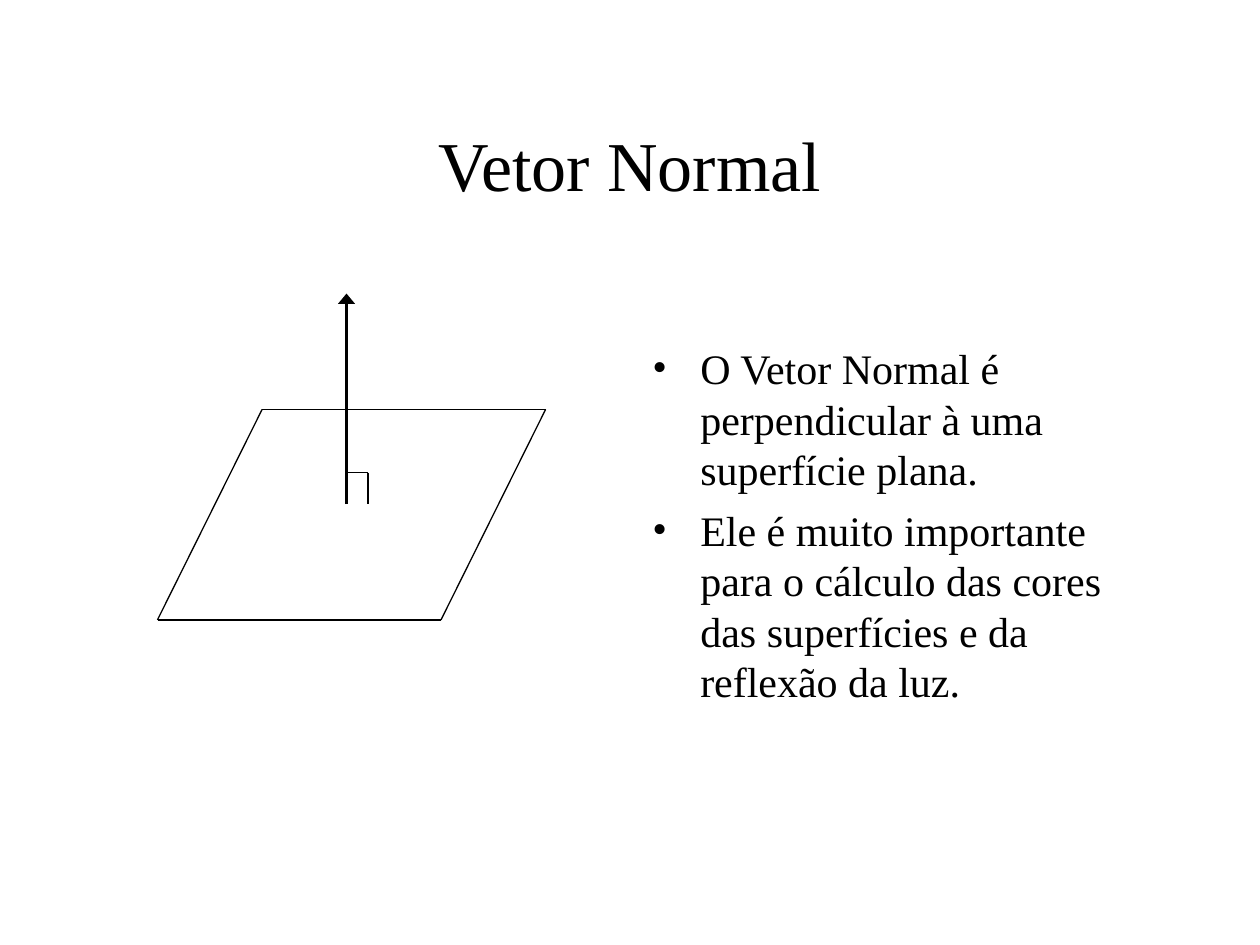
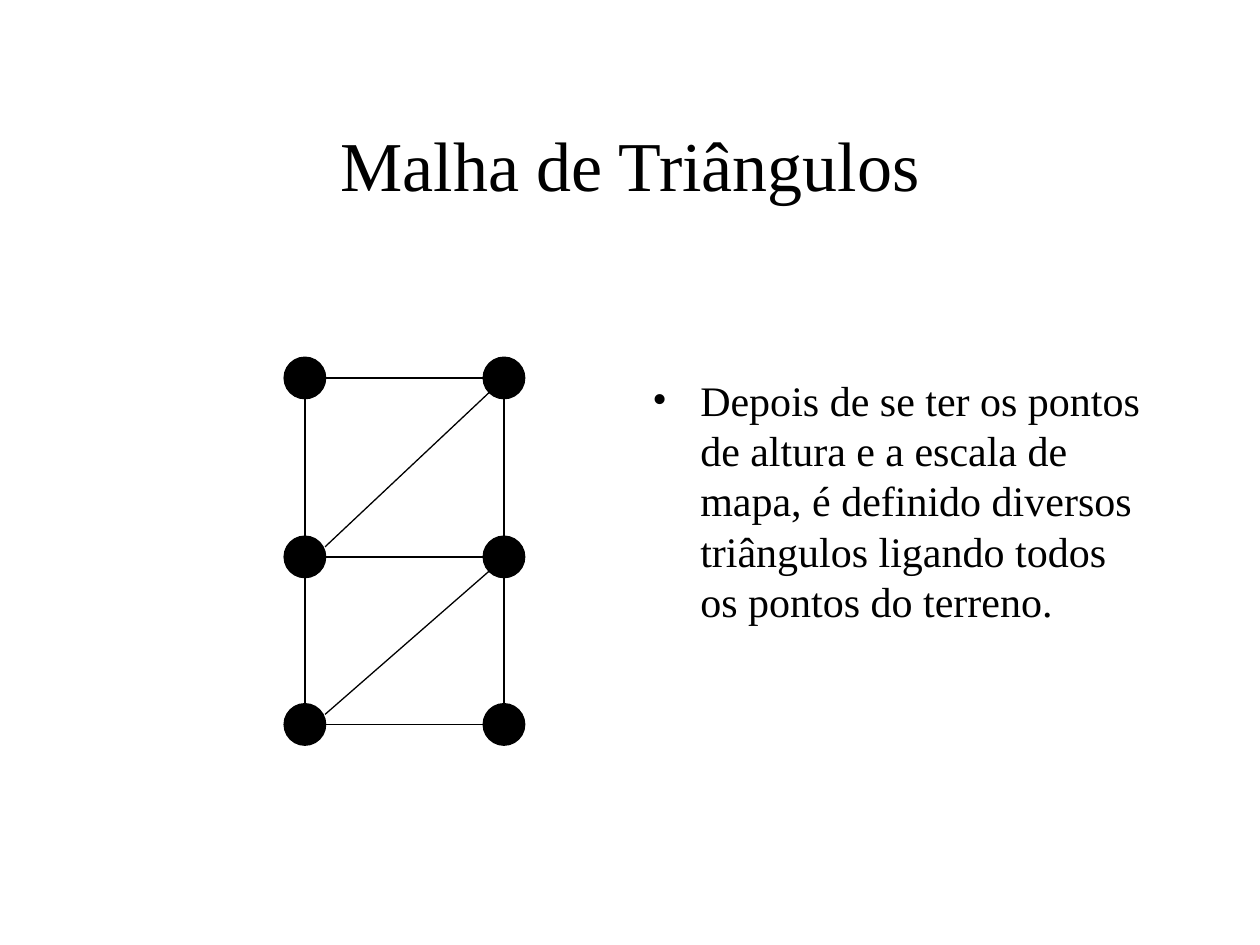
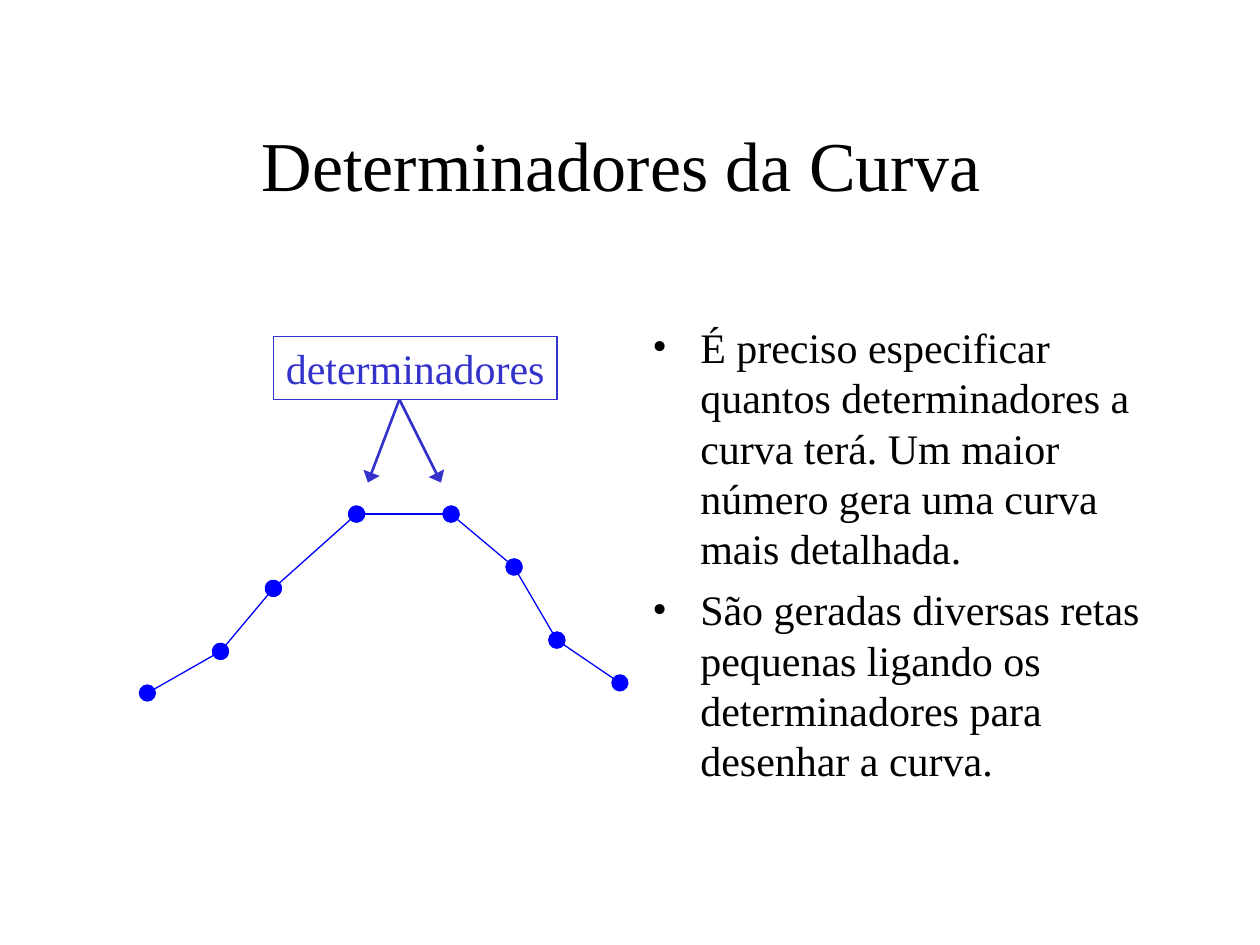
from itertools import pairwise

from lxml import etree
from pptx import Presentation
from pptx.dml.color import RGBColor
from pptx.enum import shapes, text
from pptx.oxml.ns import qn
from pptx.util import Inches, Pt

COLORS = {"ink": "000000", "curve": "0000FF", "callout": "3333CC"}
FONT = "Times New Roman"
TITLE_SIZE, BODY_SIZE = 40, 24
THIN, THICK = 0.75, 1.5
# end kind, width and length of line ends
ARROW = {"type": "triangle", "w": "lg", "len": "med"}
DOT = {"type": "oval", "w": "lg", "len": "lg"}


def rgb(color):
    return RGBColor.from_string(COLORS[color])


def add_text(slide, box, paragraphs, size, color="ink", **frame_format):
    """Add a text box and return it; frame_format holds text frame attributes."""
    text_box = slide.shapes.add_textbox(*map(Inches, box))
    frame = text_box.text_frame
    for name, value in ({"word_wrap": True} | frame_format).items():
        setattr(frame, name, value)
    for number, content in enumerate(paragraphs):
        paragraph = frame.add_paragraph() if number else frame.paragraphs[0]
        run = paragraph.add_run()
        run.text = content
        for name, value in {"name": FONT, "size": Pt(size)}.items():
            setattr(run.font, name, value)
        run.font.color.rgb = rgb(color)
    return text_box


def add_title(slide, title):
    heading = add_text(slide, (0.75, 0.67, 8.5, 1.25), [title], TITLE_SIZE,
                       vertical_anchor=text.MSO_ANCHOR.MIDDLE)
    heading.text_frame.paragraphs[0].alignment = text.PP_ALIGN.CENTER


def add_bullets(slide, top, height, items):
    body = add_text(slide, (5.08, top, 4.17, height), items, BODY_SIZE)
    for number, paragraph in enumerate(body.text_frame.paragraphs):
        properties = paragraph._p.get_or_add_pPr()
        properties.set("marL", str(Inches(0.38)))
        properties.set("indent", str(Inches(-0.38)))
        bullet_color = etree.SubElement(properties, qn("a:buClr"))
        etree.SubElement(bullet_color, qn("a:srgbClr"), val=COLORS["ink"])
        etree.SubElement(properties, qn("a:buFont"), typeface=FONT)
        etree.SubElement(properties, qn("a:buChar"), char="•")
        if number:
            paragraph.space_before = Pt(6)


def add_line(slide, start, end, color="ink", width=THIN, head=None, tail=None):
    """Draw a straight line; head is the mark at start, tail the one at end."""
    line = slide.shapes.add_connector(
        shapes.MSO_CONNECTOR.STRAIGHT, *map(Inches, (*start, *end)))
    line.line.color.rgb = rgb(color)
    line.line.width = Pt(width)
    outline = line.line._get_or_add_ln()
    for tag, mark in (("a:headEnd", head), ("a:tailEnd", tail)):
        if mark:
            etree.SubElement(outline, qn(tag), mark)
    etree.SubElement(line._element.spPr, qn("a:effectLst"))


def add_vertex(slide, center_x, center_y, diameter):
    left, top = center_x - diameter / 2, center_y - diameter / 2
    vertex = slide.shapes.add_shape(
        shapes.MSO_SHAPE.OVAL, *map(Inches, (left, top, diameter, diameter)))
    vertex.shadow.inherit = False
    vertex.fill.solid()
    vertex.fill.fore_color.rgb = rgb("ink")
    vertex.line.color.rgb = rgb("ink")
    vertex.line.width = Pt(THIN)


def draw_normal_vector(slide):
    plane = [(1.25, 4.92), (3.5, 4.92), (4.33, 3.25), (2.08, 3.25)]
    right_angle = [(2.75, 3.75), (2.92, 3.75), (2.92, 4)]
    for outline in (plane + plane[:1], right_angle):
        for start, end in pairwise(outline):
            add_line(slide, start, end)
    add_line(slide, (2.75, 4), (2.75, 2.33), width=THICK, tail=ARROW)


def draw_triangle_mesh(slide):
    diameter = 0.33
    radius = diameter / 2
    columns, rows = (2.42, 4), (3, 4.42, 5.75)
    left, right = columns
    for y in rows:
        for x in columns:
            add_vertex(slide, x, y, diameter)
        add_line(slide, (left + radius, y), (right - radius, y))
    for upper, lower in pairwise(rows):
        for x in columns:
            add_line(slide, (x, lower - radius), (x, upper + radius))
        add_line(slide, (right - 0.08, upper + 0.08),
                 (left + 0.16, lower - 0.08))


def draw_curve(slide):
    determiners = [(1.17, 5.5), (1.75, 5.17), (2.17, 4.67), (2.83, 4.08),
                   (3.58, 4.08), (4.08, 4.5), (4.42, 5.08), (4.92, 5.42)]
    for start, end in pairwise(determiners):
        add_line(slide, start, end, "curve", head=DOT, tail=DOT)
    label = add_text(slide, (2.17, 2.67, 2.25, 0.5), ["determinadores"],
                     BODY_SIZE, "callout", word_wrap=False, margin_right=0,
                     auto_size=text.MSO_AUTO_SIZE.SHAPE_TO_FIT_TEXT)
    label.line.color.rgb = rgb("callout")
    label.line.width = Pt(THIN)
    for target_x in (2.92, 3.5):
        add_line(slide, (3.17, 3.17), (target_x, 3.83), "callout", THICK,
                 tail=ARROW)


def main():
    deck = Presentation()
    deck.slide_width, deck.slide_height = Inches(10), Inches(7.5)
    topics = [
        ("Vetor Normal", 2.67, 3.25, draw_normal_vector,
         ["O Vetor Normal é perpendicular à uma superfície plana.",
          "Ele é muito importante para o cálculo das cores das superfícies "
          "e da reflexão da luz."]),
        ("Malha de Triângulos", 2.92, 2.42, draw_triangle_mesh,
         ["Depois de se ter os pontos de altura e a escala de mapa, é "
          "definido diversos triângulos ligando todos os pontos do terreno."]),
        ("Determinadores da Curva ", 2.5, 3.92, draw_curve,
         ["É preciso especificar quantos determinadores a curva terá. Um "
          "maior número gera uma curva mais detalhada.",
          "São geradas diversas retas pequenas ligando os determinadores "
          "para desenhar a curva."]),
    ]
    for title, body_top, body_height, draw_figure, items in topics:
        slide = deck.slides.add_slide(deck.slide_layouts[6])
        add_title(slide, title)
        add_bullets(slide, body_top, body_height, items)
        draw_figure(slide)
    deck.save("out.pptx")


if __name__ == "__main__":
    main()
